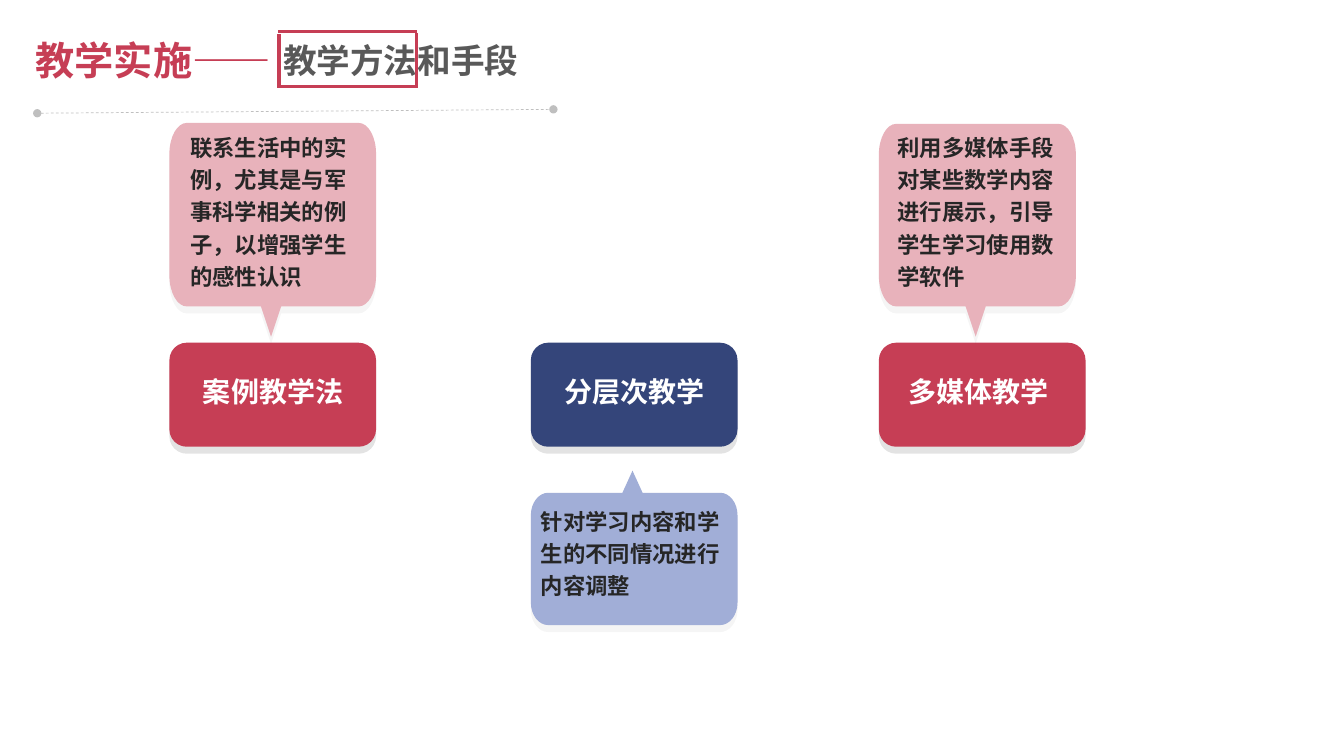
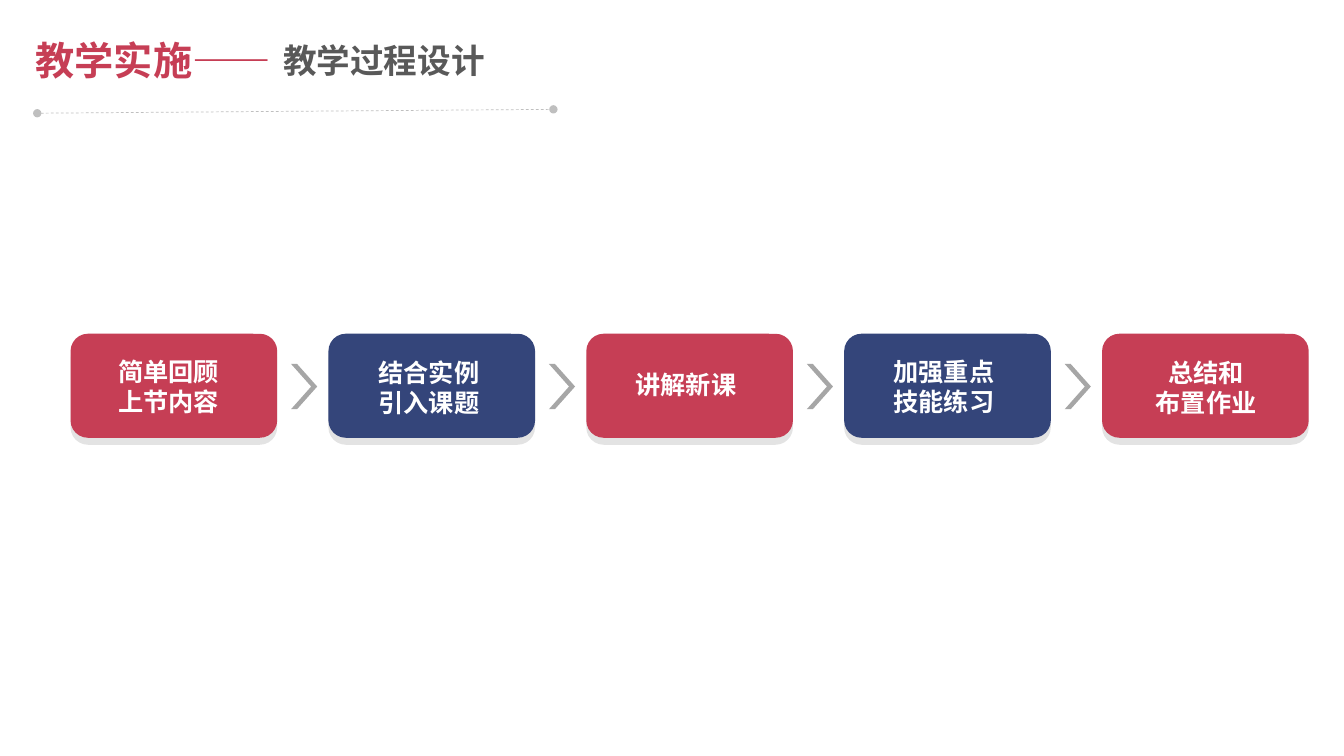
from lxml import etree
from pptx import Presentation
from pptx import util as u
from pptx.dml.color import RGBColor
from pptx.enum import dml, shapes, text
from pptx.oxml.ns import qn

COLORS = {
    "red": "C63E55", "navy": "34457A", "pink": "E8B2BB", "lilac": "A1AED7",
    "white": "FFFFFF", "ink": "262626", "heading": "595959",
    "rule": "BFBFBF", "chevron": "A6A6A6", "shadow": "000000",
}
FONT = "Noto Sans CJK SC"
LEFT, CENTER = text.PP_ALIGN.LEFT, text.PP_ALIGN.CENTER
CARD_WIDTH, CARD_HEIGHT = 147.6, 74.3


def add_text(parent, bounds, lines, size, color, align=LEFT, wrap=False, spacing=None):
    box = parent.shapes.add_textbox(*map(u.Pt, bounds))
    frame = box.text_frame
    frame.word_wrap = wrap
    frame.auto_size = text.MSO_AUTO_SIZE.SHAPE_TO_FIT_TEXT
    for index, line in enumerate(lines):
        para = frame.paragraphs[0] if index == 0 else frame.add_paragraph()
        para.alignment = align
        para.line_spacing = spacing
        span = para.add_run()
        span.text = line
        span.font.size = u.Pt(size)
        span.font.bold = True
        span.font.name = FONT
        span.font.color.rgb = RGBColor.from_string(COLORS[color])
        etree.SubElement(span.font._element, qn("a:ea"), typeface=FONT)


def paint(shape, color, shadow_percent=0):
    """Fill without an outline; a shadow, if any, falls straight down."""
    shape.fill.solid()
    shape.fill.fore_color.rgb = RGBColor.from_string(COLORS[color])
    shape.line.fill.background()
    shape.shadow.inherit = False
    if shadow_percent:
        effects = shape._element.spPr.find(qn("a:effectLst"))
        shadow = etree.SubElement(effects, qn("a:outerShdw"), blurRad="0",
                                  dist=str(u.Pt(5)), dir="5400000",
                                  algn="t", rotWithShape="0")
        tint = etree.SubElement(shadow, qn("a:srgbClr"), val=COLORS["shadow"])
        etree.SubElement(tint, qn("a:alpha"), val=str(shadow_percent * 1000))


deck = Presentation()
deck.slide_width, deck.slide_height = u.Pt(960), u.Pt(540)
methods_page, process_page = pages = [
    deck.slides.add_slide(deck.slide_layouts[6]) for _ in range(2)]

# Chevrons between the steps
STEP_LEFT, STEP_PITCH = 50.4, 184.2
for index in range(4):
    chevron = process_page.shapes.add_shape(
        shapes.MSO_SHAPE.CHEVRON,
        u.Pt(207.9 + index * STEP_PITCH), u.Pt(259.9), u.Pt(18.7), u.Pt(32.4))
    chevron.adjustments[0] = 0.77
    paint(chevron, "chevron")

# Cards: page, left, top, color, label bounds, label lines, label size
methods = [
    (121, "red", 137.5, "案例教学法"),
    (379.2, "navy", 395.5, "分层次教学"),
    (627.8, "red", 641.5, "多媒体教学"),
]
steps = [
    (77, 250.6, ["简单回顾", "上节内容"]),
    (262.8, 251.6, ["结合实例", "引入课题"]),
    (446.4, 259.9, ["讲解新课"]),
    (630.7, 250.6, ["加强重点", "技能练习"]),
    (817.9, 251.6, ["总结和", "布置作业"]),
]
cards = [
    (methods_page, left, 244.8, color, (label_left, 264.2, 115.2, 31.7), [label], 20)
    for left, color, label_left, label in methods
]
cards += [
    (process_page, STEP_LEFT + index * STEP_PITCH, 238.4, ("red", "navy")[index % 2],
     (label_left, label_top, 87.1, 29 if len(lines) == 1 else 51), lines, 18)
    for index, (label_left, label_top, lines) in enumerate(steps)
]
for page, left, top, color, label_bounds, lines, size in cards:
    group = page.shapes.add_group_shape()
    card = group.shapes.add_shape(
        shapes.MSO_SHAPE.ROUNDED_RECTANGLE,
        u.Pt(left), u.Pt(top), u.Pt(CARD_WIDTH), u.Pt(CARD_HEIGHT))
    paint(card, color, 11)
    add_text(group, label_bounds, lines, size, "white", CENTER)

# Callouts: left, top, right, bottom, tip, corner height, color, text bounds, words
callouts = [
    (121, 87.8, 268.6, 218.9, 240.5, 22, "pink", (128.9, 88.4, 132.5, 123.8),
     "联系生活中的实例，尤其是与军事科学相关的例子，以增强学生的感性认识"),
    (379.2, 352, 526.8, 446.5, 336.2, 16, "lilac", (379.3, 355.5, 147.6, 77),
     "针对学习内容和学生的不同情况进行内容调整"),
    (627.8, 88.5, 768.5, 218.9, 240.5, 22, "pink", (634, 88.4, 134.6, 123.8),
     "利用多媒体手段对某些数学内容进行展示，引导学生学习使用数学软件"),
]
CORNER_WIDTH, TAIL_HALF = 12.4, 7.2
ROUNDNESS = 0.45  # share of the corner left beyond each control point
for left, top, right, bottom, tip, corner_height, color, bounds, words in callouts:
    points_down = tip > bottom
    middle = (left + right) / 2 - 1.2
    base, reach = (bottom, TAIL_HALF) if points_down else (top, -TAIL_HALF)
    outline, curve_starts = [], []
    for x, y, inward_x, inward_y in (
        (left, top, 1, 1), (right, top, -1, 1), (right, bottom, -1, -1), (left, bottom, 1, -1),
    ):
        across, down = inward_x * CORNER_WIDTH, inward_y * corner_height
        curve = [(x, y + down), (x, y + down * ROUNDNESS),
                 (x + across * ROUNDNESS, y), (x + across, y)]
        if inward_x != inward_y:
            curve.reverse()
        curve_starts.append(len(outline) + 1)
        outline += curve
        if (x, y) == ((right, bottom) if points_down else (left, top)):
            outline += [(middle + reach, base), (middle, tip), (middle - reach, base)]
    points = [(u.Pt(x), u.Pt(y)) for x, y in outline]
    group = methods_page.shapes.add_group_shape()
    builder = group.shapes.build_freeform(*points[0])
    builder.add_line_segments(points[1:], close=True)
    callout = builder.convert_to_shape()
    # Join each corner's three segments into one Bezier curve
    route = next(callout._element.iter(qn("a:moveTo"))).getparent()
    segments = list(route)
    for start in curve_starts:
        first, *others = segments[start:start + 3]
        bend = etree.Element(qn("a:cubicBezTo"))
        route.replace(first, bend)
        bend.append(first[0])
        for segment in others:
            bend.append(segment[0])
            route.remove(segment)
    paint(callout, color, 4)
    add_text(group, bounds, [words], 16, "ink", wrap=True, spacing=1.2)

# Shared header: two titles and a dotted rule
for page, subtitle, width in zip(pages, ("教学方法和手段", "教学过程设计"), (184.3, 159.8)):
    add_text(page, (18.4, 22.3, 188.6, 41), ["教学实施——"], 28, "red")
    add_text(page, (195.1, 25.2, width, 36), [subtitle], 24, "heading")

header_rule = (26.6, 80.9, 395.3, 78.1)
title_frame = [
    (199.3, 24.5, 199.3, 62.6), (297.4, 23.5, 297.4, 61.9),
    (199.3, 61.5, 298.8, 61.5), (198.7, 22.7, 298.1, 22.7),
]
strokes = [(page, header_rule, "rule", 0.5) for page in pages]
strokes += [(methods_page, side, "red", 2.25) for side in title_frame]
for page, ends, color, weight in strokes:
    connector = page.shapes.add_connector(
        shapes.MSO_CONNECTOR.STRAIGHT, *map(u.Pt, ends))
    connector.line.color.rgb = RGBColor.from_string(COLORS[color])
    connector.line.width = u.Pt(weight)
    if ends == header_rule:
        connector.line.dash_style = dml.MSO_LINE.DASH
        for end in ("a:headEnd", "a:tailEnd"):
            etree.SubElement(connector.line._get_or_add_ln(), qn(end), type="oval")
    etree.SubElement(connector._element.spPr, qn("a:effectLst"))

deck.save("out.pptx")
